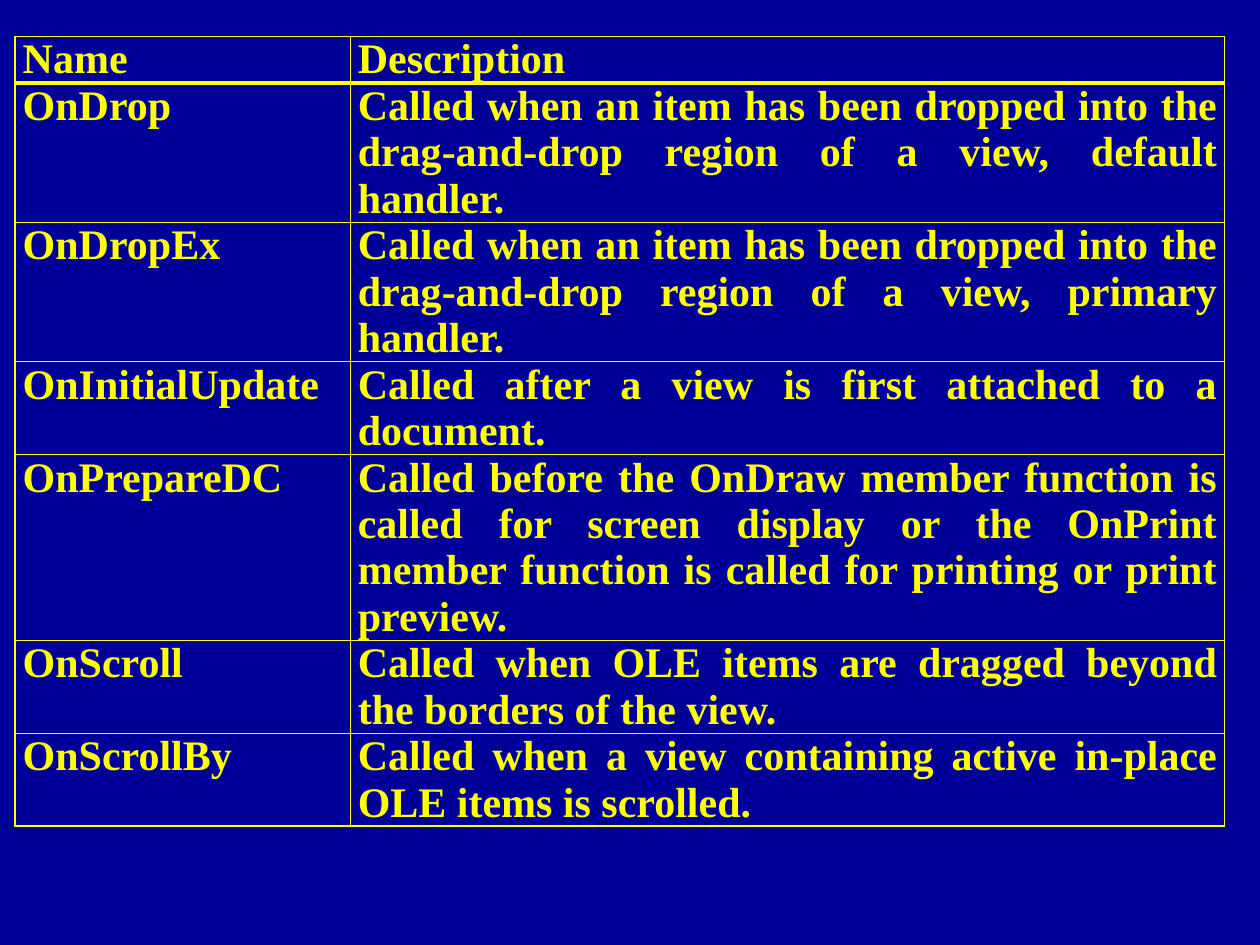
"""Build a slide with a table of view member functions and their descriptions."""
from dataclasses import dataclass

from lxml.etree import SubElement
from pptx import Presentation
from pptx.dml.color import RGBColor
from pptx.enum.text import MSO_ANCHOR, PP_ALIGN
from pptx.oxml.ns import qn
from pptx.util import Inches, Pt


@dataclass(frozen=True)
class Theme:
    background: str = "000099"
    accent: str = "FFFF00"
    font: str = "Times New Roman"
    size: int = 24
    rule: int = 1
    header_rule: int = 3


def add_border(cell, side, width):
    border = SubElement(cell._tc.get_or_add_tcPr(), qn(f"a:{side}"), w=str(Pt(width)))
    fill = SubElement(border, qn("a:solidFill"))
    SubElement(fill, qn("a:srgbClr"), val=theme.accent)


theme = Theme()
line_height = 0.36
column_widths = (2.66, 6.94)
members = [
    ("Name", "Description", 1),
    ("OnDrop", "Called when an item has been dropped into the drag-and-drop region of a view, default handler.", 3),
    ("OnDropEx", "Called when an item has been dropped into the drag-and-drop region of a view, primary handler.", 3),
    ("OnInitialUpdate", "Called after a view is first attached to a document.", 2),
    ("OnPrepareDC", "Called before the OnDraw member function is called for screen display or "
                    "the OnPrint member function is called for printing or print preview.", 4),
    ("OnScroll", "Called when OLE items are dragged beyond the borders of the view.", 2),
    ("OnScrollBy", "Called when a view containing active in-place OLE items is scrolled.", 2),
]

deck = Presentation()
deck.slide_width, deck.slide_height = Inches(10), Inches(7.5)
slide = deck.slides.add_slide(deck.slide_layouts[6])
slide.background.fill.solid()
slide.background.fill.fore_color.rgb = RGBColor.from_string(theme.background)

total_height = line_height * sum(lines for *_, lines in members)
reference = slide.shapes.add_table(
    len(members), len(column_widths), Inches(0.12), Inches(0.29),
    Inches(sum(column_widths)), Inches(total_height),
).table
reference.horz_banding = False
for column, width in zip(reference.columns, column_widths):
    column.width = Inches(width)

for row_index, (name, description, lines) in enumerate(members):
    reference.rows[row_index].height = Inches(line_height * lines)
    top_rule = theme.header_rule if row_index == 1 else theme.rule
    bottom_rule = theme.header_rule if row_index == 0 else theme.rule
    for cell, words in zip(reference.rows[row_index].cells, (name, description)):
        cell.text = words
        cell.margin_left = cell.margin_right = Inches(0.06)
        cell.margin_top = cell.margin_bottom = 0
        cell.vertical_anchor = MSO_ANCHOR.TOP
        for side, width in (("lnL", theme.rule), ("lnR", theme.rule),
                            ("lnT", top_rule), ("lnB", bottom_rule)):
            add_border(cell, side, width)
        cell.fill.background()
        paragraph = cell.text_frame.paragraphs[0]
        paragraph.alignment = PP_ALIGN.JUSTIFY
        paragraph.font.name = theme.font
        paragraph.font.size = Pt(theme.size)
        paragraph.font.bold = True
        paragraph.font.color.rgb = RGBColor.from_string(theme.accent)

deck.save("out.pptx")
